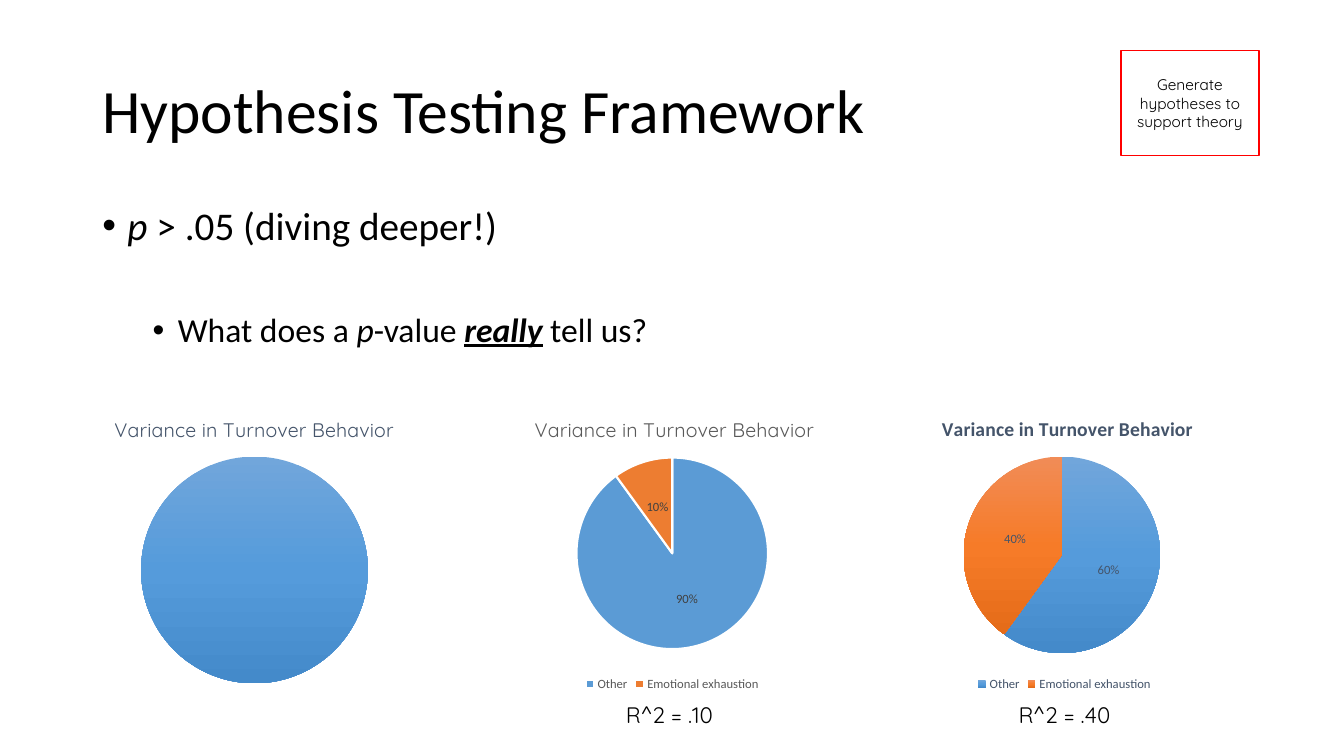
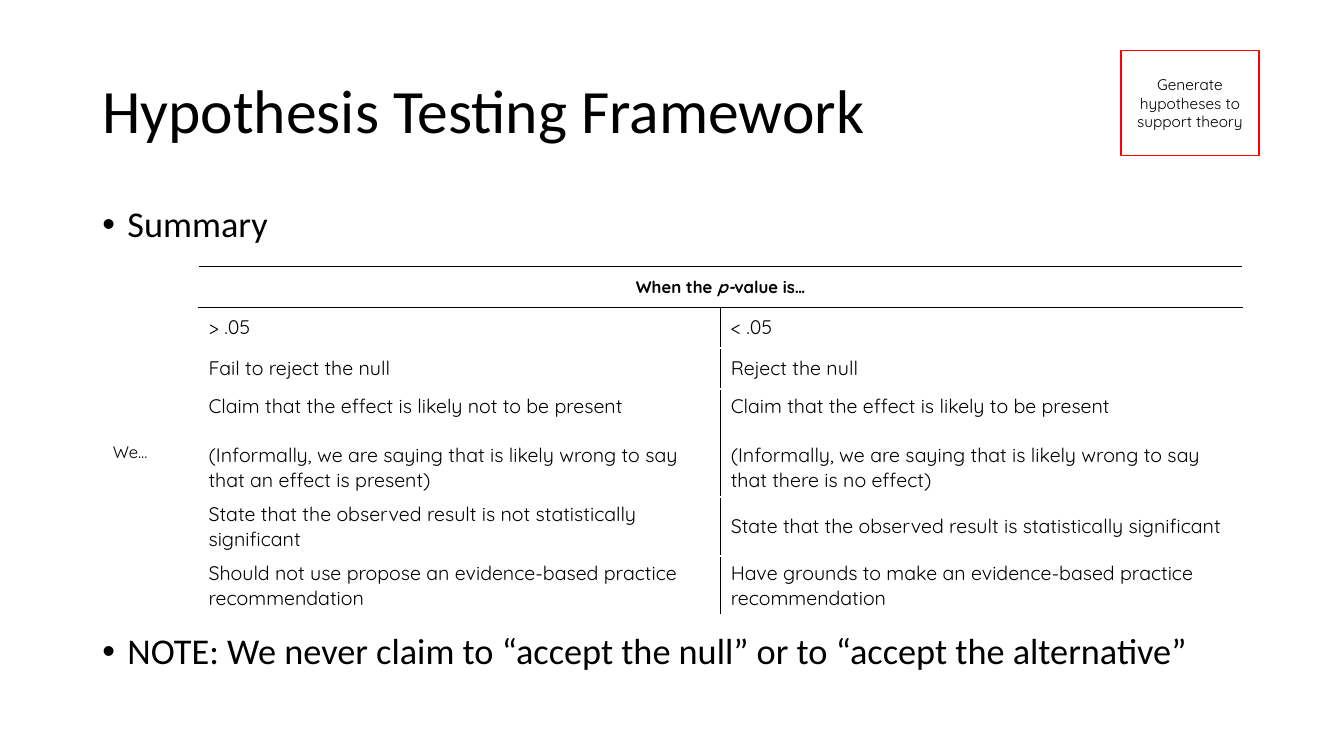
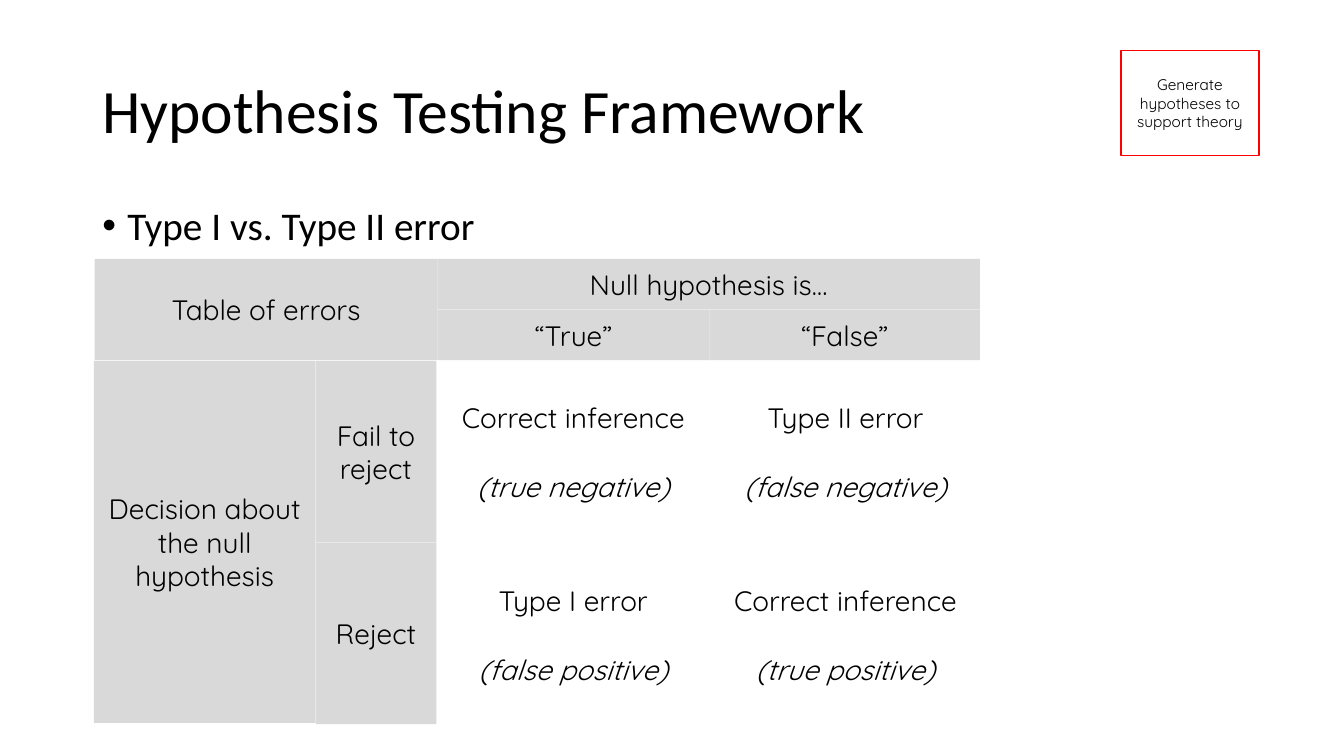
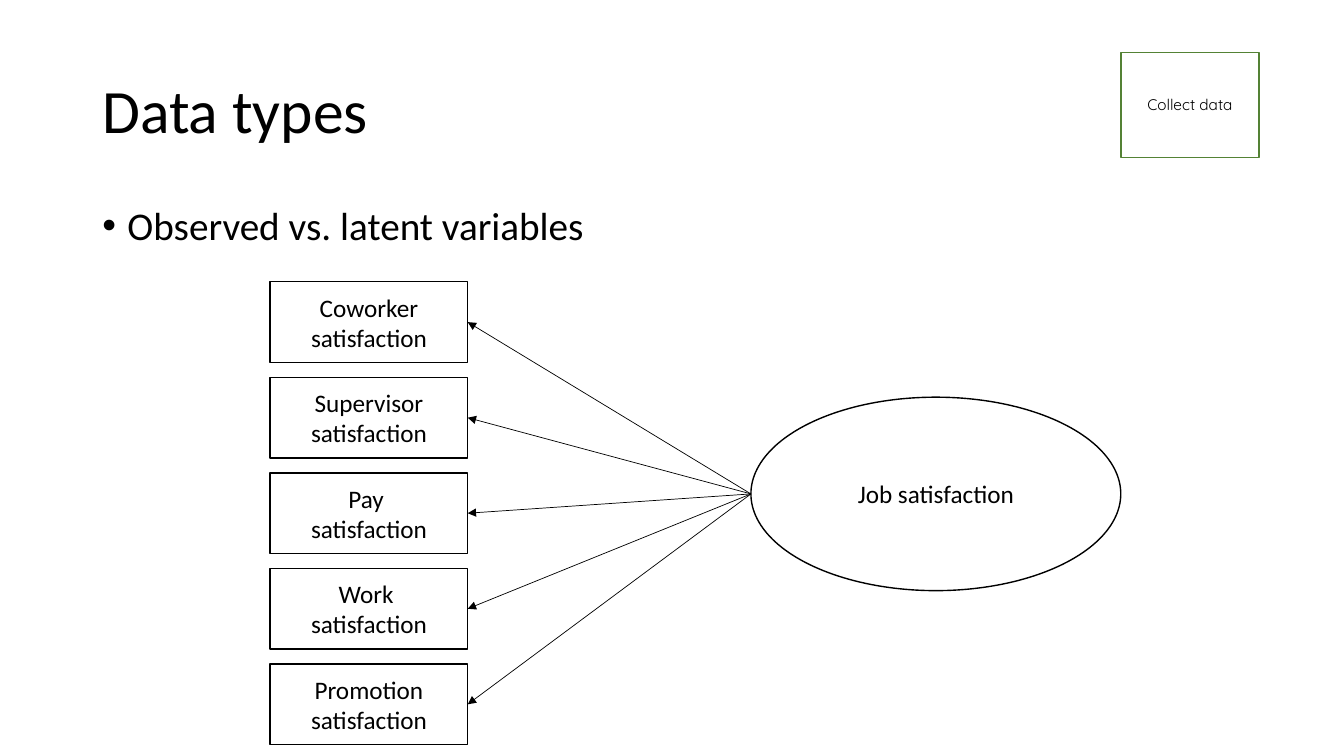
"""Build four slides on hypothesis testing and data types."""
from lxml import etree
from pptx import Presentation
from pptx.chart.data import CategoryChartData
from pptx.dml.color import RGBColor
from pptx.enum.chart import XL_CHART_TYPE, XL_LABEL_POSITION, XL_LEGEND_POSITION
from pptx.enum.shapes import MSO_CONNECTOR, MSO_SHAPE
from pptx.enum.text import MSO_ANCHOR, PP_ALIGN
from pptx.oxml.ns import qn
from pptx.util import Pt

PIE = XL_CHART_TYPE.PIE
LABEL_CENTER = XL_LABEL_POSITION.CENTER
LEGEND_BOTTOM = XL_LEGEND_POSITION.BOTTOM
STRAIGHT = MSO_CONNECTOR.STRAIGHT
RECT, OVAL = MSO_SHAPE.RECTANGLE, MSO_SHAPE.OVAL
TOP, MIDDLE = MSO_ANCHOR.TOP, MSO_ANCHOR.MIDDLE
LEFT, CENTER = PP_ALIGN.LEFT, PP_ALIGN.CENTER

COLORS = {
    "black": "000000", "white": "FFFFFF", "red": "FF0000", "green": "548235",
    "band": "D9D9D9", "slate": "44546A", "gray": "595959", "dark": "404040",
    "blue": "5B9BD5", "orange": "ED7D31",
}
GRADIENTS = {
    "blue": ("71A6DB", "559BDB", "448ACA"),
    "orange": ("F18C57", "F67B28", "E56C19"),
}
BODY_FONT, NOTE_FONT = "Calibri", "Quicksand"
FRAMEWORK = ("Hypothesis Testing Framework", "Generate hypotheses to support theory", "red", 36)


def rgb(name):
    return RGBColor.from_string(COLORS[name])


def style_font(font, size, name=BODY_FONT, color="black"):
    font.size, font.name = Pt(size), name
    font.color.rgb = rgb(color)


def write_paragraph(p, runs, size, font=BODY_FONT, align=LEFT, before=None, spacing=None):
    """Fill a paragraph from (text, marks) runs, marks being any of b, i, u."""
    p.alignment = align
    if before is not None:
        p.space_before = Pt(before)
    if spacing:
        p.line_spacing = spacing
    for text, marks in [(runs, "")] if isinstance(runs, str) else runs:
        r = p.add_run()
        r.text = text
        style_font(r.font, size, font)
        r.font.bold, r.font.italic, r.font.underline = (m in marks for m in "biu")


def write_text(tf, paragraphs, size, font=NOTE_FONT, align=CENTER, anchor=MIDDLE, gap=0):
    tf.word_wrap = True
    tf.vertical_anchor = anchor
    for i, runs in enumerate(paragraphs):
        p = tf.paragraphs[0] if i == 0 else tf.add_paragraph()
        write_paragraph(p, runs, size, font, align, before=gap if i else None)


def add_text(s, box, paragraphs, size, **options):
    sp = s.shapes.add_textbox(*map(Pt, box))
    write_text(sp.text_frame, paragraphs, size, **options)


def add_box(s, box, paragraphs, size, font=NOTE_FONT, fill=None, line=None, kind=RECT):
    sp = s.shapes.add_shape(kind, *map(Pt, box))
    sp.shadow.inherit = False
    if fill:
        sp.fill.solid()
        sp.fill.fore_color.rgb = rgb(fill)
    else:
        sp.fill.background()
    if line:
        sp.line.color.rgb = rgb(line)
        sp.line.width = Pt(1)
    else:
        sp.line.fill.background()
    write_text(sp.text_frame, paragraphs, size, font)
    return sp


def add_bullets(s, bullets):
    """Add the body text from (level, size, space before, runs) rows."""
    tf = s.shapes.add_textbox(Pt(66), Pt(144), Pt(828), Pt(342.5)).text_frame
    tf.word_wrap = True
    for i, (level, size, before, runs) in enumerate(bullets):
        p = tf.paragraphs[0] if i == 0 else tf.add_paragraph()
        write_paragraph(p, runs, size, before=before, spacing=0.9)
        p.level = level
        pPr = p._p.get_or_add_pPr()
        pPr.set("marL", str(Pt(18 + 36 * level)))
        pPr.set("indent", str(Pt(-18)))
        etree.SubElement(pPr, qn("a:buFont"), typeface="Arial")
        etree.SubElement(pPr, qn("a:buChar"), char="•")


def new_slide(prs, title, badge, badge_color, badge_top):
    s = prs.slides.add_slide(prs.slide_layouts[6])
    add_box(s, (800.6, badge_top, 98.8, 75), [badge], 11, line=badge_color)
    tf = s.shapes.add_textbox(Pt(66), Pt(28.8), Pt(828), Pt(104.4)).text_frame
    tf.word_wrap = True
    tf.vertical_anchor = MIDDLE
    write_paragraph(tf.paragraphs[0], title, 44, spacing=0.9)
    return s


def set_layout(parent, index, target=None, **places):
    for old in parent.findall(qn("c:layout")):
        parent.remove(old)
    layout = etree.Element(qn("c:layout"))
    manual = etree.SubElement(layout, qn("c:manualLayout"))
    if target:
        etree.SubElement(manual, qn("c:layoutTarget"), val=target)
    for mode in ("xMode", "yMode"):
        etree.SubElement(manual, qn("c:" + mode), val="edge")
    for key, value in places.items():
        etree.SubElement(manual, qn("c:" + key), val=str(value))
    parent.insert(index, layout)


def paint_slice(point, color, gradient):
    fill, line = point.format.fill, point.format.line
    if not gradient:
        fill.solid()
        fill.fore_color.rgb = rgb(color)
        line.color.rgb = rgb("white")
        line.width = Pt(1.5)
        return
    line.fill.background()
    fill.gradient()
    fill.gradient_angle = 270


def set_stops(series, colors):
    for stops, color in zip(series._element.iter(qn("a:gsLst")), colors):
        for old in list(stops):
            stops.remove(old)
        for i, value in enumerate(GRADIENTS[color]):
            gs = etree.SubElement(stops, qn("a:gs"), pos=str(50000 * i))
            etree.SubElement(gs, qn("a:srgbClr"), val=value)


def add_pie(s, left, slices, pie, title_x, title_font=NOTE_FONT, bold=False,
            color="slate", gradient=True, percent=True, label_color="slate"):
    """Add a pie of (category, value) slices; pie is the plot's x, y, w, h."""
    data = CategoryChartData()
    data.categories = [name for name, _ in slices]
    data.add_series("Series 1", [value for _, value in slices])
    box = map(Pt, (left, 280.8, 360, 216))
    chart = s.shapes.add_chart(PIE, *box, data).chart
    style_font(chart.font, 10)
    chart.has_title = True
    p = chart.chart_title.text_frame.paragraphs[0]
    r = p.add_run()
    r.text = "Variance in Turnover Behavior"
    style_font(r.font, 14, title_font, color)
    r.font.bold = bold
    set_layout(chart.chart_title._element, 1, x=title_x, y=0.06)
    area = chart._chartSpace.find(".//" + qn("c:plotArea"))
    set_layout(area, 0, "inner", **dict(zip("xywh", pie)))
    plot = chart.plots[0]
    plot.vary_by_categories = True
    series = plot.series[0]
    colors = ("blue", "orange")[:len(slices)]
    for i, slice_color in enumerate(colors):
        paint_slice(series.points[i], slice_color, gradient)
    set_stops(series, colors)
    chart.has_legend = len(slices) > 1
    if chart.has_legend:
        chart.legend.position = LEGEND_BOTTOM
        chart.legend.include_in_layout = False
        style_font(chart.legend.font, 9, color=color)
        plot.has_data_labels = True
        labels = plot.data_labels
        labels.show_percentage, labels.show_value = percent, not percent
        labels.number_format, labels.number_format_is_linked = "0%", False
        labels.position = LABEL_CENTER
        style_font(labels.font, 9, color=label_color)


def set_borders(cell, black_sides):
    tcPr = cell._tc.get_or_add_tcPr()
    for i, side in enumerate("LRTB"):
        ln = etree.Element(qn("a:ln" + side), w=str(Pt(1)))
        fill = etree.SubElement(ln, qn("a:solidFill"))
        color = COLORS["black" if side in black_sides else "white"]
        etree.SubElement(fill, qn("a:srgbClr"), val=color)
        tcPr.insert(i, ln)


def black_sides(row, col):
    if col == 0:
        return ""
    if row == 0:
        return "TB"
    return ("R" if col == 1 else "L") + ("T" if row == 1 else "")


def add_summary_table(s, rows, widths, heights):
    box = map(Pt, (73.4, 190.2, sum(widths), sum(heights)))
    table = s.shapes.add_table(len(heights), len(widths), *box).table
    table.first_row = table.horz_banding = False
    for column, width in zip(table.columns, widths):
        column.width = Pt(width)
    for row, height in zip(table.rows, heights):
        row.height = Pt(height)
    for i in range(len(heights)):
        for j in range(len(widths)):
            cell = table.cell(i, j)
            cell.fill.background()
            set_borders(cell, black_sides(i, j))
    table.cell(0, 1).merge(table.cell(0, 2))
    table.cell(2, 0).merge(table.cell(4, 0))
    header = [("When the ", "b"), ("p-", "bi"), ("value is…", "b")]
    labels = ((0, 1, header, CENTER), (2, 0, "We…", LEFT))
    for i, j, runs, align in labels:
        cell = table.cell(i, j)
        cell.vertical_anchor = MIDDLE
        write_paragraph(cell.text_frame.paragraphs[0], runs, 12, NOTE_FONT, align)
    for i, row in enumerate(rows, 1):
        for j, paragraphs in enumerate(row, 1):
            cell = table.cell(i, j)
            write_text(cell.text_frame, paragraphs, 14, align=LEFT, gap=17.5)
            cell.vertical_anchor = MIDDLE


def add_arrow(s, start, box):
    c = s.shapes.add_connector(STRAIGHT, *map(Pt, start), *map(Pt, start))
    c.end_connect(box, 3)
    c.line.color.rgb = rgb("black")
    c.line.width = Pt(0.5)
    etree.SubElement(c.line._get_or_add_ln(), qn("a:tailEnd"), type="triangle")
    etree.SubElement(c._element.spPr, qn("a:effectLst"))


def build_variance(prs):
    s = new_slide(prs, *FRAMEWORK)
    add_bullets(s, [
        (0, 28, 10, [("p", "i"), (" > .05 (diving deeper!)", "")]),
        (1, 24, 46, [("What does a ", ""), ("p", "i"), ("-value ", ""),
                     ("really", "biu"), (" tell us?", "")]),
    ])
    names = ("Other", "Emotional exhaustion")
    add_pie(s, 0, [("1", 100)], (0.28, 0.21, 0.45, 0.75), 0.22)
    add_pie(s, 580.3, list(zip(names, (60, 40))), (0.3, 0.21, 0.39, 0.65), 0.25,
            title_font=BODY_FONT, bold=True)
    add_pie(s, 300.2, list(zip(names, (0.9, 0.1))), (0.31, 0.21, 0.38, 0.64), 0.22,
            color="gray", gradient=False, percent=False, label_color="dark")
    for left, text in ((404, "R^2 = .10"), (686.2, "R^2 = .40")):
        add_text(s, (left, 497, 148.3, 27.4), [text], 16)


def build_summary(prs):
    s = new_slide(prs, *FRAMEWORK)
    add_bullets(s, [
        (0, 25.9, 10, "Summary"),
        (0, 25.9, 277, "NOTE: We never claim to “accept the null” or to “accept the alternative”"),
    ])
    informally = "(Informally, we are saying that is likely wrong to say that "
    rows = [
        (["> .05"], ["< .05"]),
        (["Fail to reject the null"], ["Reject the null"]),
        (["Claim that the effect is likely not to be present",
          informally + "an effect is present)"],
         ["Claim that the effect is likely to be present",
          informally + "there is no effect)"]),
        (["State that the observed result is not statistically significant"],
         ["State that the observed result is statistically significant"]),
        (["Should not use propose an evidence-based practice recommendation"],
         ["Have grounds to make an evidence-based practice recommendation"]),
    ]
    add_summary_table(s, rows, (68.4, 373, 373), (29.2, 29.2, 29.2, 77.2, 42.2, 42.2))


def build_errors(prs):
    s = new_slide(prs, *FRAMEWORK)
    add_bullets(s, [(0, 28, 10, "Type I vs. Type II error")])
    outcomes = [
        [("Correct inference", "(true negative)"), ("Type II error", "(false negative)")],
        [("Type I error", "(false positive)"), ("Correct inference", "(true positive)")],
    ]
    for i, row in enumerate(outcomes):
        for j, (result, kind) in enumerate(row):
            box = (313.2 + 194.4 * j, 257.8 + 131 * i, 192.6, 129.6)
            add_text(s, box, [result, [(kind, "i")]], 20, gap=25)
    bands = [
        ((225.4, 257.8, 86.4, 129.6), "Fail to reject"),
        ((225.4, 387.7, 86.4, 129.6), "Reject"),
        ((67, 257.8, 158.4, 258.5), "Decision about the null hypothesis"),
        ((67.7, 185, 244.8, 72.2), "Table of errors"),
        ((312.5, 185, 387.5, 36.1), "Null hypothesis is…"),
        ((312.5, 221.1, 194.4, 36.1), "“True”"),
        ((506.9, 221.1, 193.1, 36.1), "“False”"),
    ]
    for box, text in bands:
        add_box(s, box, [text], 20, fill="band")


def build_data_types(prs):
    s = new_slide(prs, "Data types", "Collect data", "green", 37.4)
    add_bullets(s, [(0, 28, 10, "Observed vs. latent variables")])
    add_box(s, (536.4, 283.7, 264.2, 138.2), ["Job satisfaction"], 18, BODY_FONT,
            line="black", kind=OVAL)
    observed = [["Coworker satisfaction"], ["Supervisor satisfaction"],
                ["Pay ", "satisfaction"], ["Work ", "satisfaction"],
                ["Promotion satisfaction"]]
    for i, text in enumerate(observed):
        box = add_box(s, (193, 201.3 + 68.25 * i, 141.1, 57.6), text, 18, BODY_FONT,
                      line="black")
        add_arrow(s, (536.4, 352.8), box)


def main():
    prs = Presentation()
    prs.slide_width, prs.slide_height = Pt(960), Pt(540)
    build_variance(prs)
    build_summary(prs)
    build_errors(prs)
    build_data_types(prs)
    prs.save("out.pptx")


if __name__ == "__main__":
    main()
